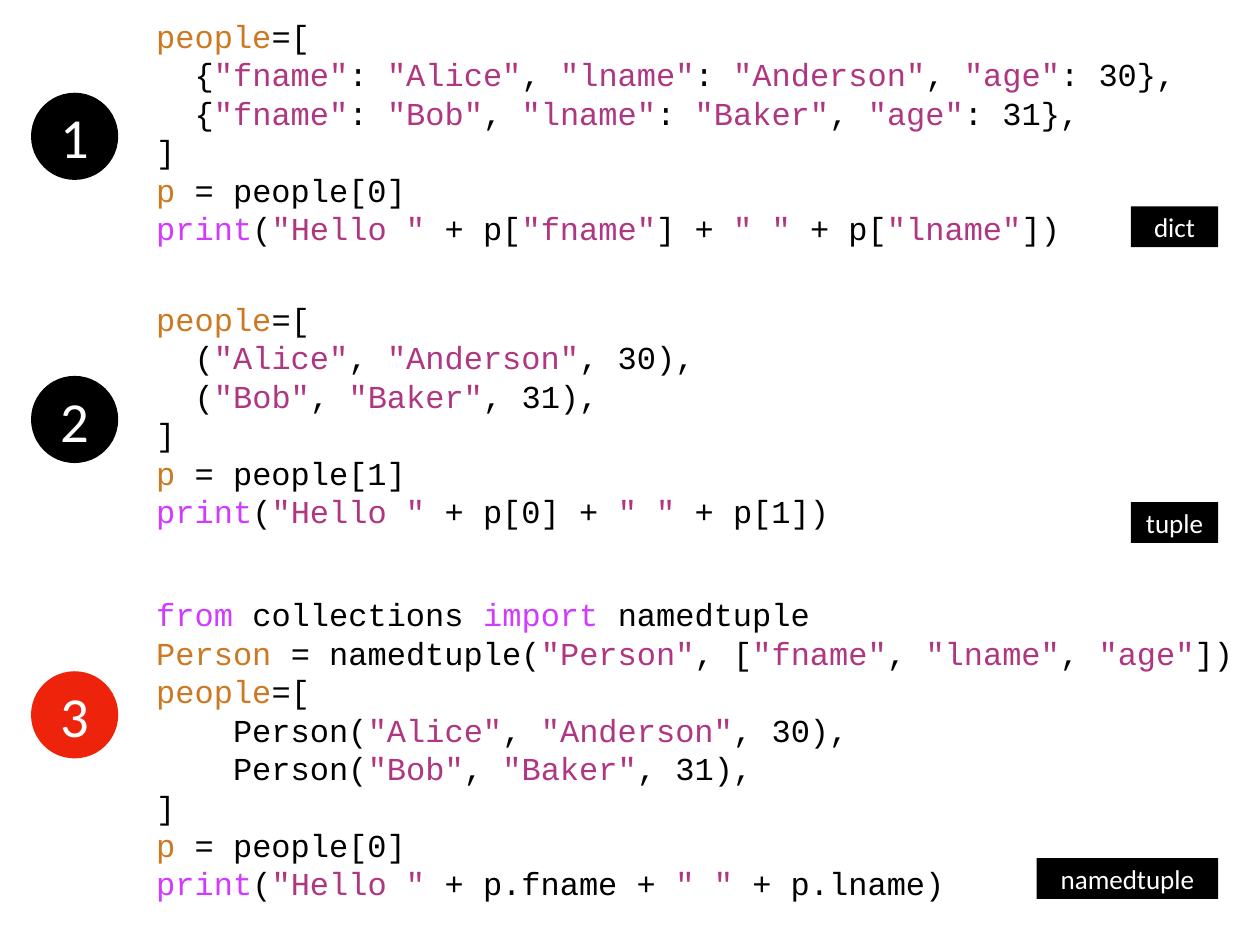
from itertools import groupby

from pptx import Presentation
from pptx.dml.color import RGBColor
from pptx.enum.shapes import MSO_SHAPE
from pptx.enum.text import MSO_ANCHOR, MSO_AUTO_SIZE, PP_ALIGN
from pptx.util import Cm, Pt

BLACK = RGBColor(0x00, 0x00, 0x00)
WHITE = RGBColor(0xFF, 0xFF, 0xFF)
RED = RGBColor(0xEE, 0x23, 0x0C)
ORANGE = RGBColor(0xCD, 0x79, 0x23)
PLUM = RGBColor(0xAF, 0x37, 0x82)
VIOLET = RGBColor(0xD0, 0x3B, 0xFF)

KEYWORDS = {"from", "import", "print"}

DICT_CODE = '''people=[
  {"fname": "Alice", "lname": "Anderson", "age": 30},
  {"fname": "Bob", "lname": "Baker", "age": 31},
]
p = people[0]
print("Hello " + p["fname"] + " " + p["lname"])'''

TUPLE_CODE = '''people=[
  ("Alice", "Anderson", 30),
  ("Bob", "Baker", 31),
]
p = people[1]
print("Hello " + p[0] + " " + p[1])'''

NAMEDTUPLE_CODE = '''from collections import namedtuple
Person = namedtuple("Person", ["fname", "lname", "age"])
people=[
    Person("Alice", "Anderson", 30),
    Person("Bob", "Baker", 31),
]
p = people[0]
print("Hello " + p.fname + " " + p.lname)'''


def tokens(line):
    for i, part in enumerate(line.split('"')):
        if i % 2:
            yield f'"{part}"', PLUM
            continue
        words = ["".join(g) for _, g in groupby(part, str.isalpha)]
        for j, word in enumerate(words):
            if word in KEYWORDS:
                yield word, VIOLET
            elif i == j == 0 and word.isalpha():
                yield word, ORANGE
            else:
                yield word, BLACK


def add_run(p, text, font="Calibri", size=22, color=WHITE):
    r = p.add_run()
    r.text = text
    r.font.name = font
    r.font.size = Pt(size)
    r.font.color.rgb = color


def set_margins(tf):
    tf.margin_left = tf.margin_right = Cm(0.14)
    tf.margin_top = tf.margin_bottom = Cm(0.14)


def add_code(s, code, left, top, width, height):
    tf = s.shapes.add_textbox(Cm(left), Cm(top), Cm(width), Cm(height)).text_frame
    set_margins(tf)
    tf.word_wrap = False
    tf.auto_size = MSO_AUTO_SIZE.SHAPE_TO_FIT_TEXT
    for i, line in enumerate(code.splitlines()):
        p = tf.add_paragraph() if i else tf.paragraphs[0]
        p.line_spacing = Pt(31.25)
        for color, group in groupby(tokens(line), lambda token: token[1]):
            text = "".join(word for word, _ in group)
            add_run(p, text, font="Courier New", size=26, color=color)


def add_label(s, kind, text, left, top, width, height, fill=BLACK, size=22):
    sp = s.shapes.add_shape(kind, Cm(left), Cm(top), Cm(width), Cm(height))
    sp.shadow.inherit = False
    sp.fill.solid()
    sp.fill.fore_color.rgb = fill
    sp.line.fill.background()
    tf = sp.text_frame
    set_margins(tf)
    tf.vertical_anchor = MSO_ANCHOR.MIDDLE
    p = tf.paragraphs[0]
    p.alignment = PP_ALIGN.CENTER
    add_run(p, text, size=size)


def add_example(s, number, code, tag, left, top, right, code_width,
                code_height, tag_offset, tag_width=2.5, fill=BLACK):
    add_code(s, code, left + 3.45, top, code_width, code_height)
    add_label(s, MSO_SHAPE.OVAL, str(number), left, top + 2.33, 2.5, 2.5,
              fill=fill, size=46)
    add_label(s, MSO_SHAPE.RECTANGLE, tag, right - tag_width,
              top + tag_offset, tag_width, 1.17)


def main():
    prs = Presentation()
    prs.slide_width = Cm(36.12)
    prs.slide_height = Cm(27.1)
    s = prs.slides.add_slide(prs.slide_layouts[6])
    edges = dict(left=0.89, right=34.92)
    add_example(s, 1, DICT_CODE, "dict", top=0.33, code_width=30.12,
                code_height=6.63, tag_offset=5.59, **edges)
    add_example(s, 2, TUPLE_CODE, "tuple", top=8.45, code_width=19.63,
                code_height=6.63, tag_offset=5.95, **edges)
    add_example(s, 3, NAMEDTUPLE_CODE, "namedtuple", top=16.92,
                code_width=31.8, code_height=8.74, tag_offset=7.69,
                tag_width=5.2, fill=RED, **edges)
    prs.save("out.pptx")


if __name__ == "__main__":
    main()
